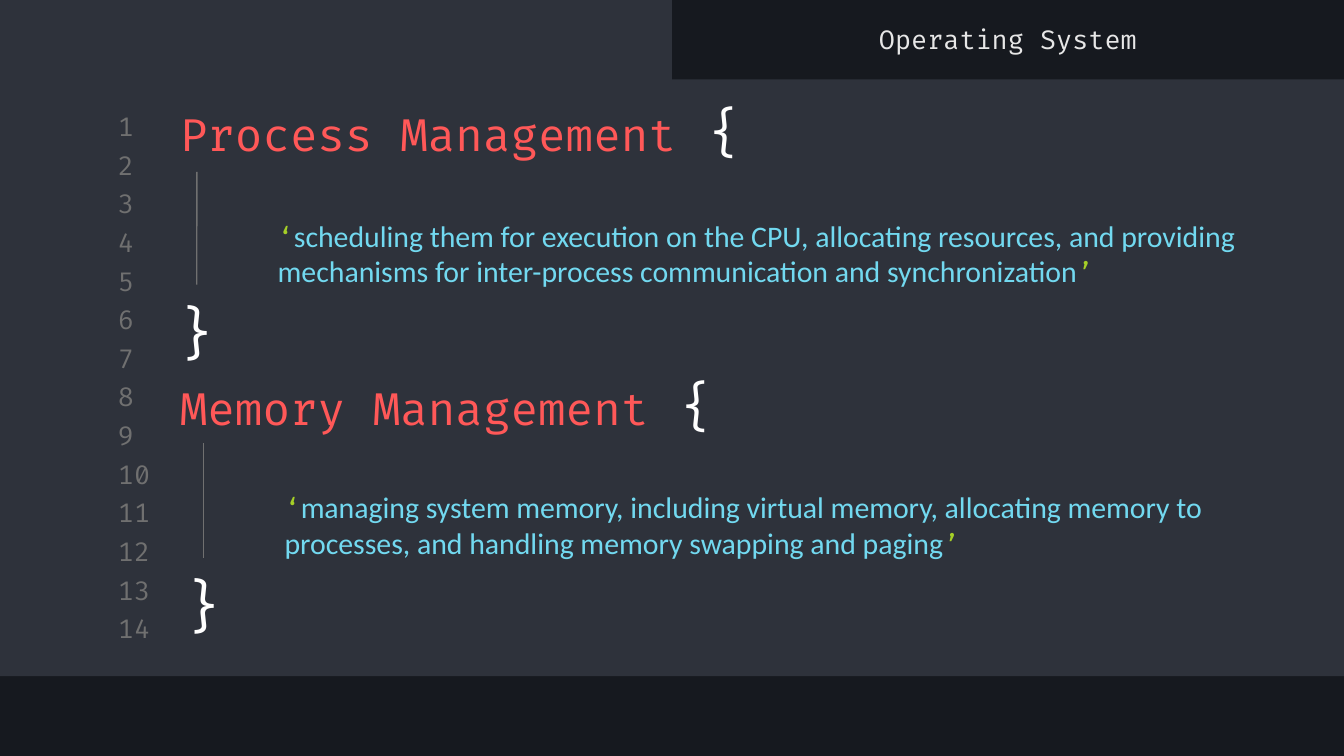
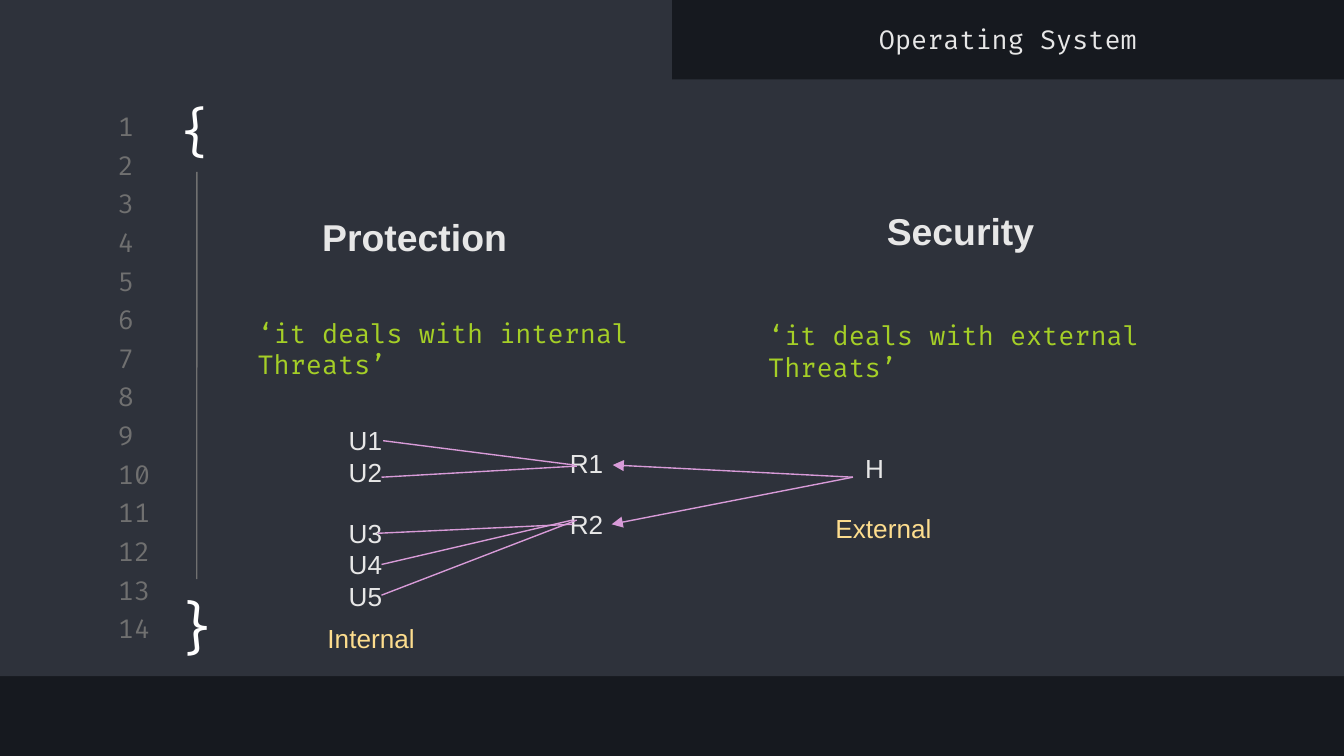
from lxml import etree
from pptx import Presentation
from pptx.dml.color import RGBColor
from pptx.enum.shapes import MSO_CONNECTOR, MSO_SHAPE
from pptx.enum.text import MSO_ANCHOR, MSO_AUTO_SIZE, PP_ALIGN
from pptx.oxml.ns import qn
from pptx.util import Cm, Pt

RECT = MSO_SHAPE.RECTANGLE
STRAIGHT = MSO_CONNECTOR.STRAIGHT
TOP, MIDDLE, BOTTOM = MSO_ANCHOR.TOP, MSO_ANCHOR.MIDDLE, MSO_ANCHOR.BOTTOM
LEFT, CENTER = PP_ALIGN.LEFT, PP_ALIGN.CENTER
GROW = MSO_AUTO_SIZE.SHAPE_TO_FIT_TEXT

CODE, SANS, BODY = "Fira Code", "Arial", "Calibri"
DARK, PANEL, GREY = "16191F", "2E323B", "707070"
WHITE, LIGHT, RED = "FFFFFF", "E7E7E7", "FF5858"
GREEN, CYAN, PINK, SAND = "A5CF27", "72D9F0", "D89BD8", "FDDD8E"


def color(code):
    return RGBColor.from_string(code)


class Deck:
    def __init__(self):
        self.prs = Presentation()
        self.prs.slide_width = Cm(25.4)
        self.prs.slide_height = Cm(14.29)
        self.slide = None

    def page(self):
        """Start a slide with the editor frame, line numbers and header."""
        self.slide = self.prs.slides.add_slide(self.prs.slide_layouts[6])
        back = self.slide.background.fill
        back.solid()
        back.fore_color.rgb = color(DARK)
        self.band(0, 1.5, 25.4, 11.28)
        self.band(0, 0, 12.7, 1.65)
        for row in range(14):
            self.code(1.98, 2.08 + row * 0.73, 1.19, 0.61, str(row + 1), GREY)
        self.code(12.7, 0.25, 12.7, 0.99, "Operating System", LIGHT, CENTER)

    def band(self, x, y, w, h):
        shape = self.slide.shapes.add_shape(RECT, Cm(x), Cm(y), Cm(w), Cm(h))
        shape.shadow.inherit = False
        shape.fill.solid()
        shape.fill.fore_color.rgb = color(PANEL)
        shape.line.fill.background()

    def box(self, x, y, w, h, anchor=TOP, inset=0.13):
        shape = self.slide.shapes.add_textbox(Cm(x), Cm(y), Cm(w), Cm(h))
        frame = shape.text_frame
        frame.word_wrap = True
        frame.vertical_anchor = anchor
        frame.margin_left = frame.margin_right = Cm(0.25)
        frame.margin_top = frame.margin_bottom = Cm(inset)
        return shape

    def style(self, run, size, font, code, bold=False):
        run.font.size = Pt(size)
        run.font.name = font
        run.font.bold = bold
        run.font.color.rgb = color(code)

    def mixed(self, x, y, w, h, parts, align=LEFT, anchor=MIDDLE):
        """One paragraph of (text, size, font, colour) runs."""
        shape = self.box(x, y, w, h, anchor, 0.25)
        para = shape.text_frame.paragraphs[0]
        para.alignment = align
        for text, *look in parts:
            run = para.add_run()
            run.text = text
            self.style(run, *look)
        return shape

    def code(self, x, y, w, h, text, tint, align=LEFT):
        self.mixed(x, y, w, h, [(text, 14, CODE, tint)], align)

    def title(self, y, w, name=""):
        parts = [("{", 28, CODE, WHITE)]
        if name:
            parts = [(name, 24, CODE, RED), (" ", 28, CODE, RED)] + parts
        self.mixed(3.15, y, w, 1.47, parts)

    def quote(self, x, y, w, text):
        mark = (14, CODE, GREEN)
        self.mixed(x, y, w, 2.21,
                   [("‘", *mark), (text, 16, BODY, CYAN), ("’", *mark)])

    def close(self, x, top, y, h=1.73):
        """Closing brace with the guide line that leads down to it."""
        brace = self.mixed(x, y, 1.4, h, [("}", 30, CODE, WHITE)], CENTER, TOP)
        brace.text_frame.auto_size = GROW
        self.line((x + 0.7, top), (x + 0.7, y), GREY).end_connect(brace, 0)

    def label(self, x, y, w, h, text, tint=LIGHT, size=14, bold=False,
              anchor=TOP, indent=0, gap=None):
        """Plain lines; the line numbered gap stands one line lower."""
        frame = self.box(x, y, w, h, anchor).text_frame
        frame.text = text
        frame.auto_size = GROW
        for num, para in enumerate(frame.paragraphs):
            self.style(para.runs[0], size, SANS, tint, bold)
            if indent:
                props = para._p.get_or_add_pPr()
                props.set("marL", str(Cm(indent)))
                props.set("indent", "0")
            if num == gap:
                para.space_before = Pt(16)

    def line(self, start, end, tint, arrow=False):
        ends = [Cm(v) for v in (*start, *end)]
        link = self.slide.shapes.add_connector(STRAIGHT, *ends)
        link.line.color.rgb = color(tint)
        link.line.width = Pt(0.75)
        if arrow:
            tail = etree.SubElement(link.line._get_or_add_ln(), qn("a:tailEnd"))
            tail.set("type", "triangle")
        etree.SubElement(link._element.spPr, qn("a:effectLst"))
        return link


def tasks(deck):
    deck.page()
    # Process management
    deck.title(1.73, 11.23, "Process Management")
    deck.quote(5, 3.68, 18.8,
               "scheduling them for execution on the CPU, allocating resources, "
               "and providing mechanisms for inter-process communication and "
               "synchronization")
    deck.close(3.02, 3.25, 5.38)
    # Memory management
    deck.title(6.91, 11.23, "Memory Management")
    deck.quote(5.13, 8.81, 18.67,
               "managing system memory, including virtual memory, allocating "
               "memory to processes, and handling memory swapping and paging")
    deck.close(3.15, 8.38, 10.54)


def safety(deck):
    deck.page()
    deck.title(1.73, 1.78)
    deck.close(3.02, 3.25, 10.95, 1.8)
    # Two columns
    deck.label(5.84, 3.91, 6.73, 1.12, "Protection", size=20, bold=True)
    deck.label(16.51, 3.81, 6.73, 1.12, "Security", size=20, bold=True)
    deck.code(4.62, 5.03, 8.28, 3.12, "‘it deals with internal Threats’", GREEN)
    deck.code(14.27, 5.38, 8.28, 2.51, "‘it deals with external Threats’", GREEN)
    # Users, resources and outsider
    deck.label(5.94, 7.9, 4.37, 4.78, "U1\nU2\nU3\nU4\nU5", indent=0.4, gap=2)
    deck.label(10.52, 8.33, 4.37, 1.96, "R1\nR2", gap=1)
    deck.label(16.1, 7.32, 4.37, 1.96, "H", anchor=BOTTOM)
    deck.label(5.94, 11.63, 3, 0.86, "Internal", SAND)
    deck.label(15.54, 9.55, 3, 0.86, "External", SAND)
    # Access from inside
    for start, end in [((7.24, 8.33), (10.85, 8.79)),
                       ((7.21, 9.02), (10.9, 8.81)),
                       ((7.14, 10.08), (10.82, 9.91)),
                       ((7.21, 11.25), (10.9, 9.83)),
                       ((7.21, 10.67), (10.82, 9.83))]:
        deck.line(start, end, PINK)
    # Attacks from outside
    for end in [(11.58, 8.79), (11.56, 9.91)]:
        deck.line((16.12, 9.02), end, PINK, arrow=True)


def main():
    deck = Deck()
    tasks(deck)
    safety(deck)
    deck.prs.save("out.pptx")


if __name__ == "__main__":
    main()
